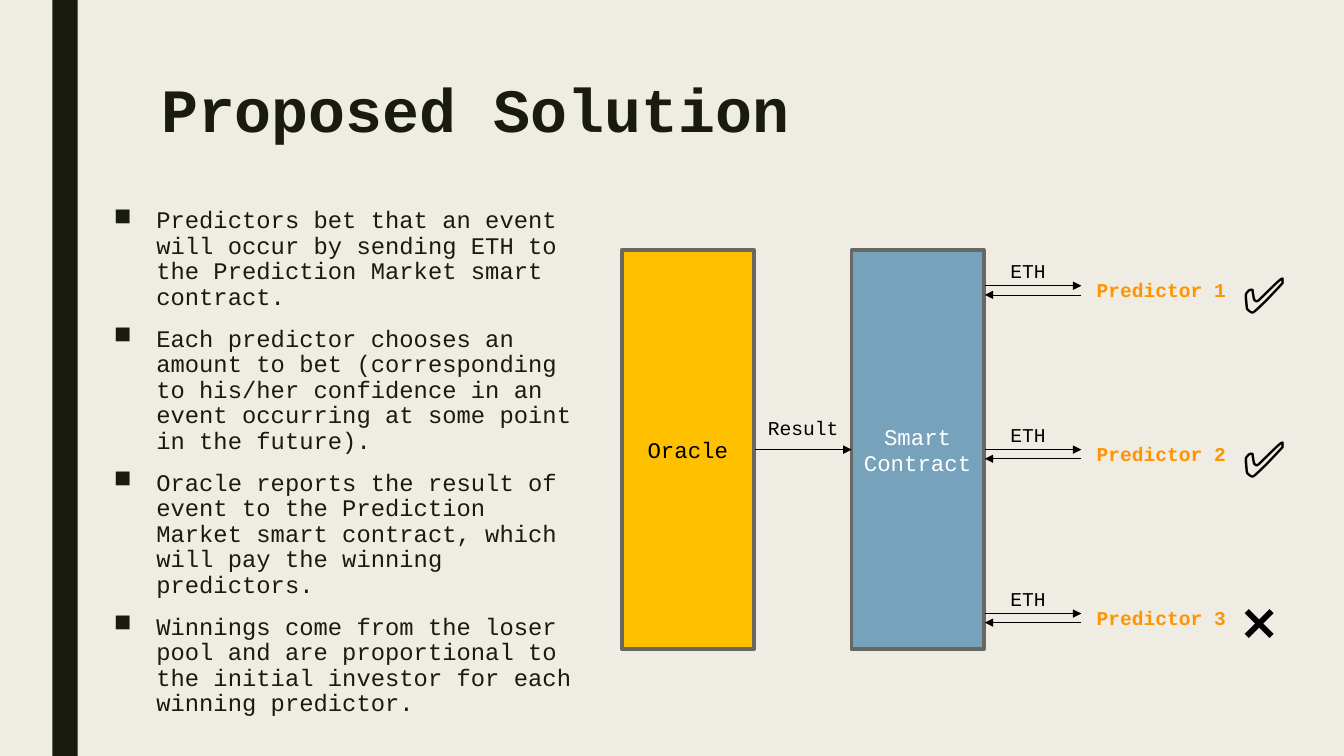
from pptx import Presentation
from pptx.dml.color import RGBColor as RGB
from pptx.enum.shapes import MSO_CONNECTOR as LINK, MSO_SHAPE as SHAPE
from pptx.enum.text import MSO_ANCHOR as ANCHOR, PP_ALIGN as ALIGN
from pptx.oxml.ns import qn
from pptx.util import Cm, Pt
from lxml.etree import SubElement as Sub

# Content
TITLE = "Proposed Solution"
POINTS = [
    "Predictors bet that an event will occur by sending ETH to the Prediction Market smart contract.",
    "Each predictor chooses an amount to bet (corresponding to his/her confidence in an event "
    "occurring at some point in the future).",
    "Oracle reports the result of event to the Prediction Market smart contract, which will pay "
    "the winning predictors.",
    "Winnings come from the loser pool and are proportional to the initial investor for each "
    "winning predictor.",
]
BLOCKS = [(["Oracle"], 15.67, "oracle"), (["Smart", "Contract"], 21.46, "smart")]
BETS = [("Predictor 1", "\u2705"), ("Predictor 2", "\u2705"), ("Predictor 3", "\u274c")]


class Theme:
    back, dark, edge = "EFEDE3", "191B0E", "686863"
    fill = {"oracle": "FFC000", "smart": "77A2BB"}
    mono = "Courier New"
    title = dict(size=44, color=dark, bold=True)
    body = dict(size=17, color=dark)
    oracle = dict(size=16, color="000000")
    smart = dict(size=16, color="FFFFFF")
    label = dict(size=14, color="000000")
    name = dict(size=14, color="FF9300", bold=True)
    mark = dict(size=36, color="000000", name="Lato")


# Layout in centimetres
TOP, WIDE, TALL = 6.3, 3.33, 10.06
MID = TOP + TALL / 2
STEP, GAP = 4.13, 0.23
LEFT, RIGHT = 24.82, 27.25

deck = Presentation()
deck.slide_width, deck.slide_height = Cm(33.87), Cm(19.05)
slide = deck.slides.add_slide(deck.slide_layouts[6])
slide.background.fill.solid()
slide.background.fill.fore_color.rgb = RGB.from_string(Theme.back)
shapes = slide.shapes


def write(frame, lines, style, **form):
    frame.word_wrap = True
    for i, line in enumerate(lines):
        para = frame.paragraphs[0] if i == 0 else frame.add_paragraph()
        for key, value in form.items():
            setattr(para, key, value)
        font = para.add_run().font
        para.runs[0].text = line
        for key, value in {"name": Theme.mono, **style}.items():
            if key == "color":
                font.color.rgb = RGB.from_string(value)
            else:
                setattr(font, key, Pt(value) if key == "size" else value)
    return frame.paragraphs


def text(x, y, w, h, lines, style, **form):
    box = shapes.add_textbox(Cm(x), Cm(y), Cm(w), Cm(h))
    return write(box.text_frame, lines, style, **form)


def block(x, y, w, h, fill, edge=None):
    box = shapes.add_shape(SHAPE.RECTANGLE, Cm(x), Cm(y), Cm(w), Cm(h))
    box.shadow.inherit = False
    box.fill.solid()
    box.fill.fore_color.rgb = RGB.from_string(fill)
    if edge:
        box.line.color.rgb, box.line.width = RGB.from_string(edge), Pt(2.75)
    else:
        box.line.fill.background()
    return box


def arrow(start, end, y):
    link = shapes.add_connector(LINK.STRAIGHT, Cm(start), Cm(y), Cm(end), Cm(y))
    link.line.color.rgb, link.line.width = RGB(0, 0, 0), Pt(0.5)
    Sub(link.line._get_or_add_ln(), qn("a:tailEnd"), type="triangle")
    Sub(link._element.spPr, qn("a:effectLst"))


# Side bar, title and bullets
block(1.32, 0, 0.64, 19.05, Theme.dark)
text(3.81, 1.9, 26.67, 4.11, [TITLE], Theme.title, line_spacing=0.89)
for para in text(2.62, 5.13, 12.34, 13.92, POINTS, Theme.body, line_spacing=0.89,
                 space_before=Pt(10), space_after=Pt(2)):
    props = para._p.get_or_add_pPr()
    props.set("marL", str(Cm(1.07)))
    props.set("indent", str(Cm(-1.07)))
    Sub(props, qn("a:buChar"), char="\u25a0")

# Oracle and contract
for lines, x, key in BLOCKS:
    frame = block(x, TOP, WIDE, TALL, Theme.fill[key], Theme.edge).text_frame
    frame.vertical_anchor = ANCHOR.MIDDLE
    write(frame, lines, getattr(Theme, key), alignment=ALIGN.CENTER)
arrow(19.02, 21.46, MID)
text(18.92, MID - 0.97, 2.64, 0.86, ["Result"], Theme.label, alignment=ALIGN.CENTER)

# Bets and payouts
for i, (name, mark) in enumerate(BETS):
    y = MID + (i - 1) * STEP
    arrow(LEFT, RIGHT, y)
    arrow(RIGHT, LEFT, y + GAP)
    text(24.59, y - 0.8, 2.64, 0.86, ["ETH"], Theme.label, alignment=ALIGN.CENTER)
    text(RIGHT, y - 0.31, 4.04, 0.86, [name], Theme.name, alignment=ALIGN.CENTER)
    text(31.06, y - 0.69, 1.75, 1.8, [mark], Theme.mark)

deck.save("out.pptx")
